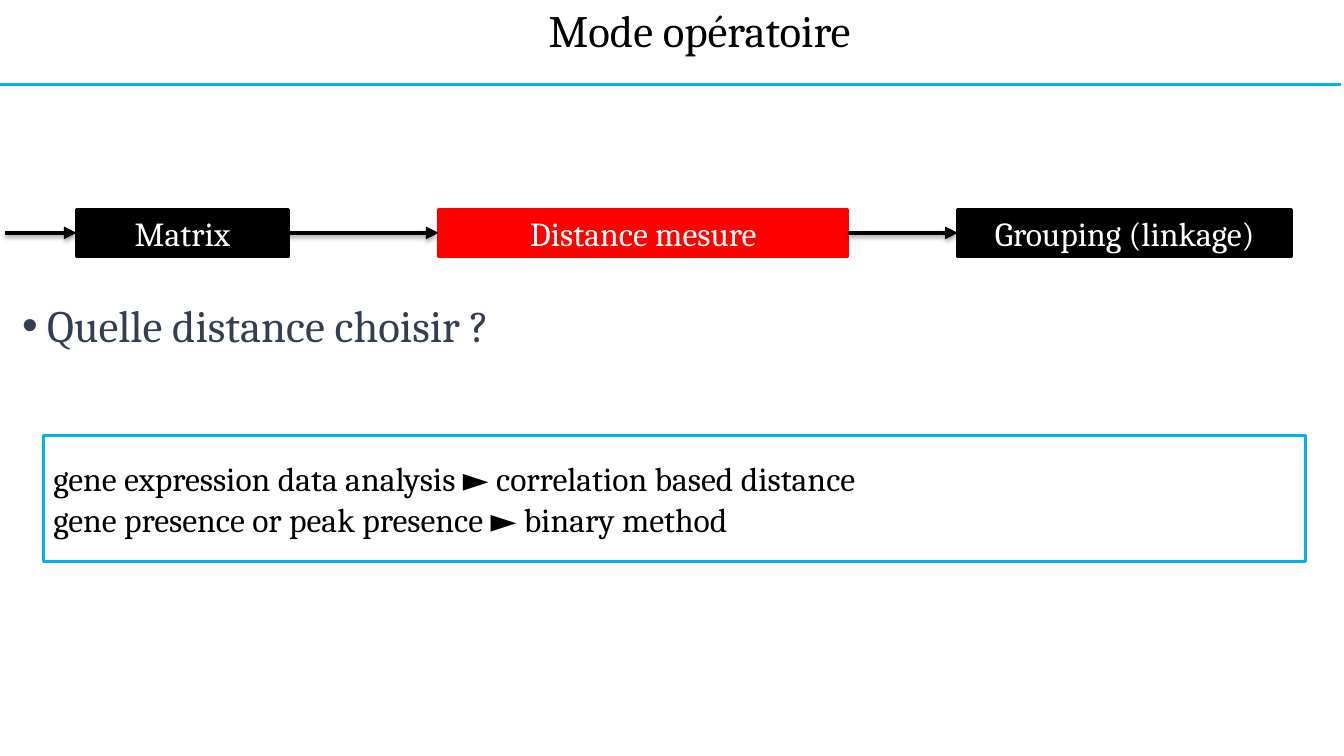
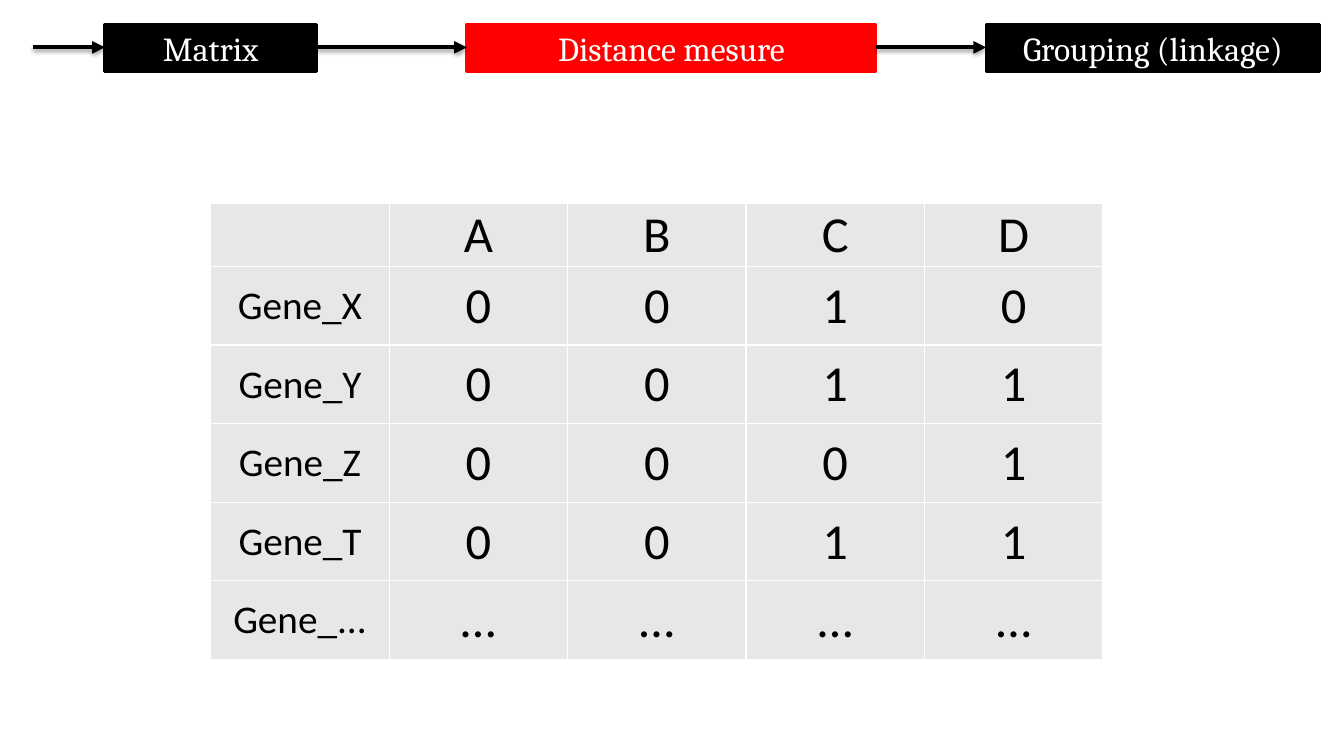
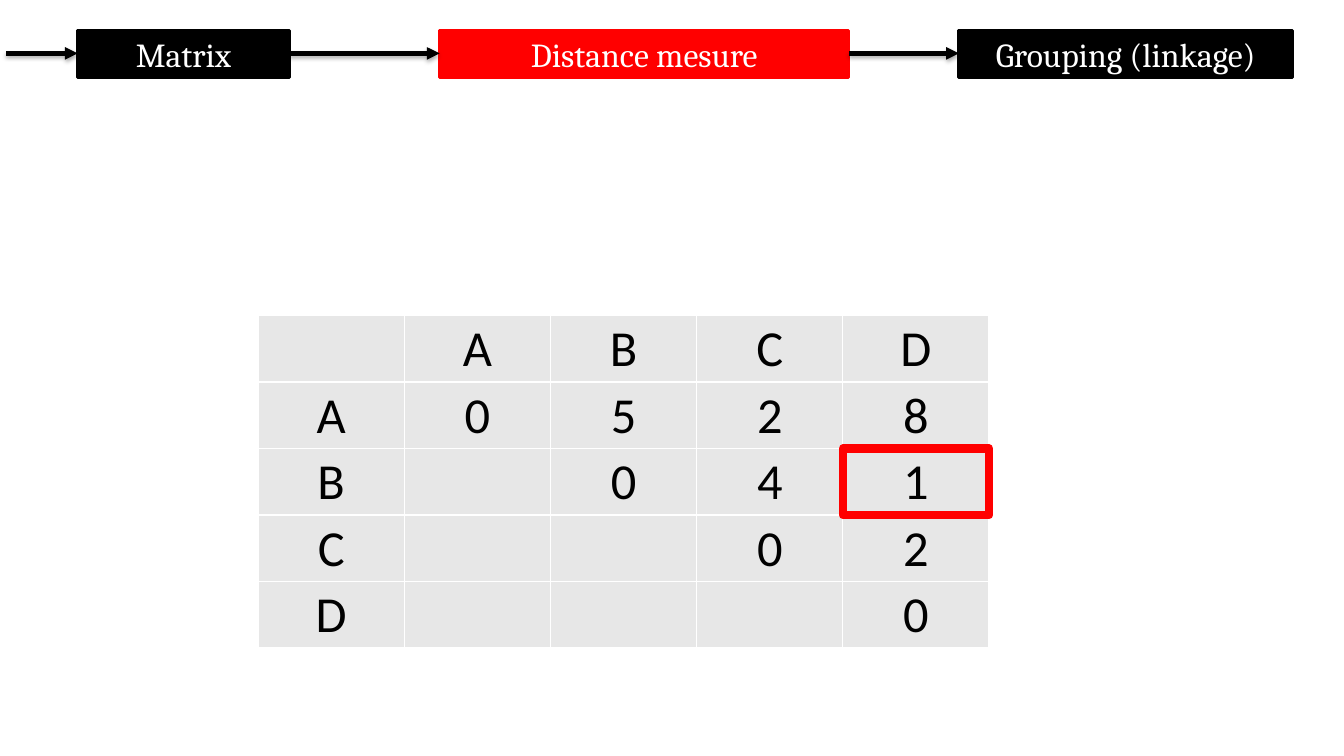
from lxml.etree import SubElement
from pptx import Presentation
from pptx.dml.color import RGBColor
from pptx.enum.shapes import MSO_CONNECTOR, MSO_SHAPE
from pptx.enum.text import MSO_ANCHOR, PP_ALIGN
from pptx.oxml.ns import qn
from pptx.util import Emu, Pt

EMU_PER_PX = 9144
PAGE_WIDTH, PAGE_HEIGHT = 1333, 750
BLACK, WHITE, RED = "000000", "FFFFFF", "FF0000"
BLUE, SLATE, GREY = "00B0F0", "333F50", "E7E7E7"
SERIF, SANS = "Cambria", "Calibri"

STEPS = [("Matrix", 71, 210, BLACK),
         ("Distance mesure", 149, 406, RED),
         ("Grouping (linkage)", 109, 331, BLACK)]
STEP_HEIGHT = 47

GENES = [["", "A", "B", "C", "D"],
         ["Gene_X", "0", "0", "1", "0"],
         ["Gene_Y", "0", "0", "1", "1"],
         ["Gene_Z", "0", "0", "0", "1"],
         ["Gene_T", "0", "0", "1", "1"],
         ["Gene_...", "…", "…", "…", "…"]]
DISTANCES = [["", "A", "B", "C", "D"],
             ["A", "0", "5", "2", "8"],
             ["B", "", "0", "4", "1"],
             ["C", "", "", "0", "2"],
             ["D", "", "", "", "0"]]


def px(length):
    return Emu(length * EMU_PER_PX)


def color(value):
    return RGBColor.from_string(value)


def write_text(frame, *lines, size=24, font=SERIF, ink=BLACK,
               align=PP_ALIGN.LEFT, spacing=None, bullet=None):
    for index, line in enumerate(lines):
        para = frame.paragraphs[0] if index == 0 else frame.add_paragraph()
        if bullet:
            properties = para._p.get_or_add_pPr()
            properties.set("marL", str(px(25)))
            properties.set("indent", str(px(-25)))
            SubElement(properties, qn("a:buFont"), typeface="Arial")
            SubElement(properties, qn("a:buChar"), char=bullet)
        para.alignment = align
        para.line_spacing = spacing
        span = para.add_run()
        span.text = line
        span.font.size = Pt(size)
        span.font.name = font
        span.font.color.rgb = color(ink)


def add_text(page, left, top, width, height, text, **style):
    box = page.shapes.add_textbox(px(left), px(top), px(width), px(height))
    box.text_frame.word_wrap = True
    write_text(box.text_frame, text, **style)


def add_box(page, left, top, width, height, *lines, outline, weight,
            fill=None, **style):
    box = page.shapes.add_shape(MSO_SHAPE.RECTANGLE, px(left), px(top),
                                px(width), px(height))
    box.shadow.inherit = False
    if fill:
        box.fill.solid()
        box.fill.fore_color.rgb = color(fill)
    else:
        box.fill.background()
    box.line.color.rgb = color(outline)
    box.line.width = Pt(weight)
    box.text_frame.word_wrap = True
    box.text_frame.vertical_anchor = MSO_ANCHOR.MIDDLE
    write_text(box.text_frame, *lines, **style)


def add_line(page, left, right, y, *, ink, weight, arrow=False):
    line = page.shapes.add_connector(MSO_CONNECTOR.STRAIGHT, px(left), px(y),
                                     px(right), px(y))
    line.line.color.rgb = color(ink)
    line.line.width = Pt(weight)
    effects = SubElement(line._element.spPr, qn("a:effectLst"))
    if arrow:
        SubElement(line.line._get_or_add_ln(), qn("a:tailEnd"), type="triangle")
        shadow = SubElement(effects, qn("a:outerShdw"), blurRad="40000",
                            dist="23000", dir="5400000", rotWithShape="0")
        tint = SubElement(shadow, qn("a:srgbClr"), val=BLACK)
        SubElement(tint, qn("a:alpha"), val="35000")


def add_title(page, text):
    add_text(page, 68, 4, 1252, 58, text, size=32, align=PP_ALIGN.CENTER,
             spacing=0.9)
    add_line(page, 0, 1330, 84, ink=BLUE, weight=2.25)


def add_workflow(page, left, top):
    for label, gap, width, fill in STEPS:
        add_box(page, left + gap, top, width, STEP_HEIGHT, label, fill=fill,
                outline=fill, weight=2, ink=WHITE, align=PP_ALIGN.CENTER)
        add_line(page, left, left + gap, top + STEP_HEIGHT // 2,
                 ink=BLACK, weight=3, arrow=True)
        left += gap + width


def style_cell(cell, text, size):
    properties = cell._tc.get_or_add_tcPr()
    for side in ("a:lnL", "a:lnR", "a:lnT", "a:lnB"):
        border = SubElement(properties, qn(side), w=str(Pt(1)))
        paint = SubElement(border, qn("a:solidFill"))
        SubElement(paint, qn("a:srgbClr"), val=WHITE)
    cell.fill.solid()
    cell.fill.fore_color.rgb = color(GREY)
    cell.margin_left = cell.margin_right = cell.margin_top = px(1)
    cell.margin_bottom = 0
    cell.vertical_anchor = MSO_ANCHOR.MIDDLE
    if text:
        write_text(cell.text_frame, text, size=size, font=SANS,
                   align=PP_ALIGN.CENTER)


def add_grid(page, left, top, values, column_width, row_heights, label_size=36):
    columns = len(values[0])
    table = page.shapes.add_table(len(values), columns, px(left), px(top),
                                  px(column_width * columns),
                                  px(sum(row_heights))).table
    table.first_row = table.horz_banding = False
    for column in table.columns:
        column.width = px(column_width)
    for row, height in zip(table.rows, row_heights):
        row.height = px(height)
    for row, texts in enumerate(values):
        for column, text in enumerate(texts):
            size = label_size if column == 0 else 36
            style_cell(table.cell(row, column), text, size)


def build_choice_page(page):
    add_title(page, "Mode opératoire")
    add_workflow(page, 5, 208)
    add_text(page, 12, 296, 1252, 60, "Quelle distance choisir ?", size=32,
             ink=SLATE, spacing=0.9, bullet="•")
    add_box(page, 43, 432, 1252, 125,
            "gene expression data analysis ► correlation based distance",
            "gene presence or peak presence ► binary method",
            outline=BLUE, weight=2.25)


def build_gene_page(page):
    add_workflow(page, 33, 24)
    add_grid(page, 209, 202, GENES, 177, [61] + [78] * 5, label_size=28)


def build_distance_page(page):
    left, top, width, height = 256, 313, 145, 66
    add_workflow(page, 6, 30)
    add_grid(page, left, top, DISTANCES, width, [height] * len(DISTANCES))
    add_box(page, left + 4 * width, top + 2 * height, width, height,
            outline=RED, weight=6)


def main():
    deck = Presentation()
    deck.slide_width, deck.slide_height = px(PAGE_WIDTH), px(PAGE_HEIGHT)
    for build in (build_choice_page, build_gene_page, build_distance_page):
        build(deck.slides.add_slide(deck.slide_layouts[6]))
    deck.save("out.pptx")


if __name__ == "__main__":
    main()
